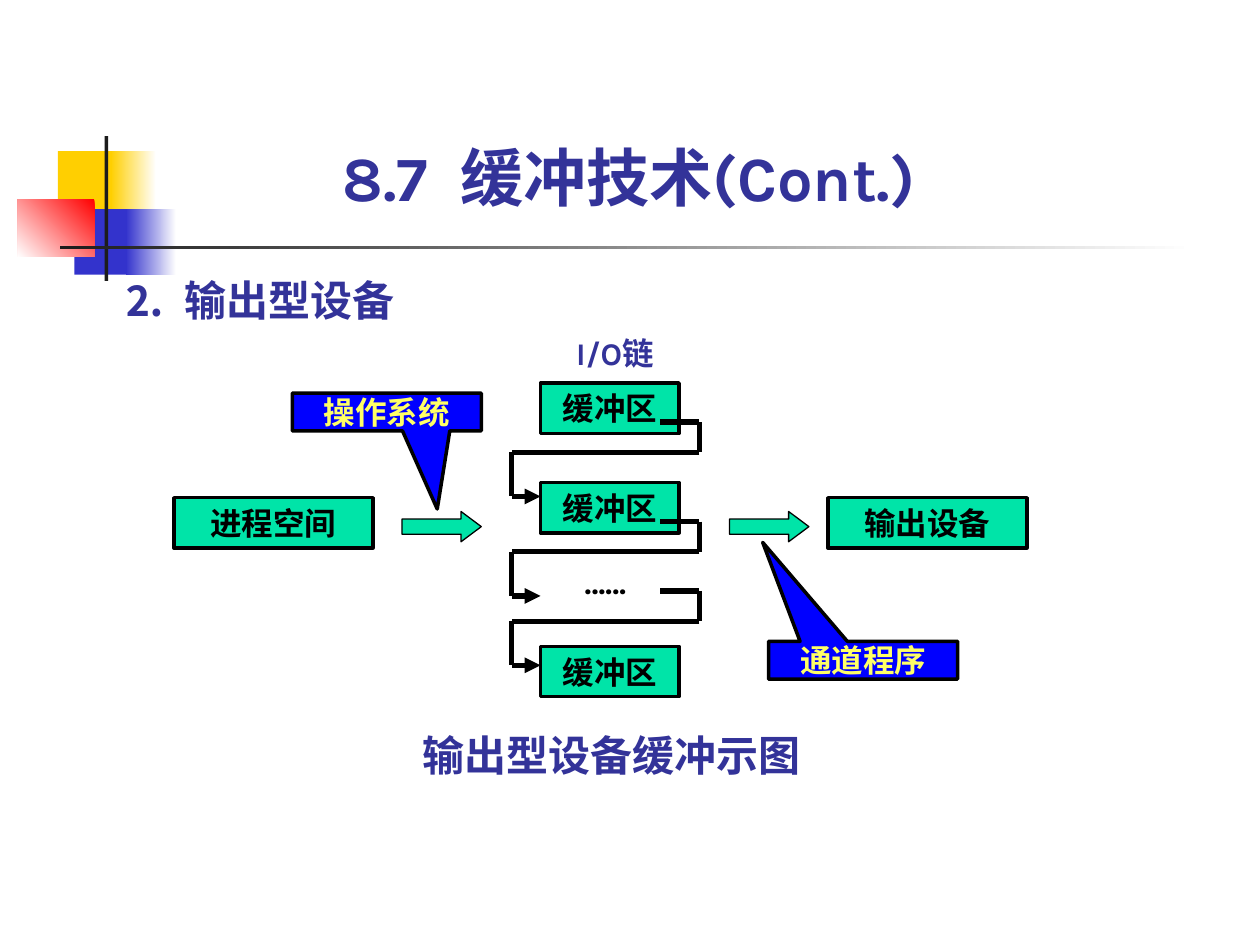
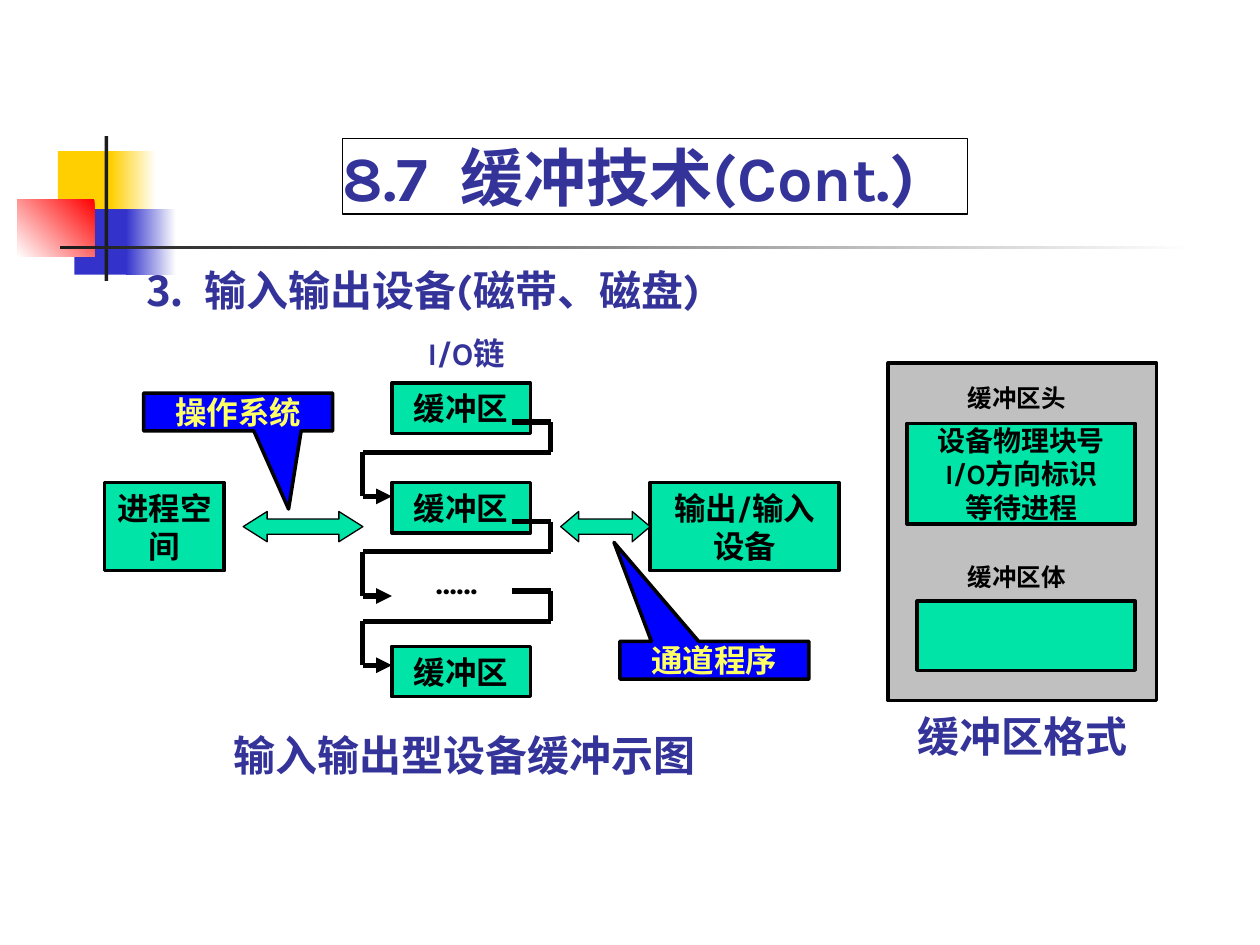
from pptx import Presentation
from pptx.dml.color import RGBColor
from pptx.enum.shapes import MSO_CONNECTOR, MSO_SHAPE as Preset
from pptx.enum.text import MSO_ANCHOR as Anchor, MSO_AUTO_SIZE as AutoSize, PP_ALIGN as Align
from pptx.oxml.ns import qn
from pptx.util import Inches, Pt
from lxml.etree import SubElement

FONT = "Karla"
COLORS = {
    "white": "FFFFFF", "black": "000000", "ink": "1C1C1C", "navy": "333399",
    "green": "00E4A8", "gray": "C0C0C0", "callout": "0000FF", "lemon": "FFFF66",
    "yellow": "FFCF01", "blue": "3333CC", "red": "FF0000",
}


def rgb(name):
    """Return a palette colour."""
    return RGBColor.from_string(COLORS[name])


def write_text(box, text, size, color, align=Align.LEFT, margins=(0, 0), anchor=Anchor.TOP):
    """Put bold wrapped text in a shape."""
    frame = box.text_frame
    frame.text = text
    frame.word_wrap = True
    frame.auto_size = AutoSize.SHAPE_TO_FIT_TEXT
    frame.vertical_anchor = anchor
    frame.margin_left = frame.margin_right = Inches(margins[0])
    frame.margin_top = frame.margin_bottom = Inches(margins[1])
    for para in frame.paragraphs:
        para.alignment = align
        for span in para.runs:
            span.font.name = FONT
            span.font.size = Pt(size)
            span.font.bold = True
            span.font.color.rgb = rgb(color)


def add_label(shapes, place, text, size, color="navy", align=Align.LEFT, anchor=Anchor.TOP):
    """Add a text box and return it."""
    box = shapes.add_textbox(*map(Inches, place))
    write_text(box, text, size, color, align, anchor=anchor)
    return box


def add_block(shapes, place, fill, preset=Preset.RECTANGLE, line=2, adjust=()):
    """Add a filled preset shape with a black outline, or none if line is 0."""
    block = shapes.add_shape(preset, *map(Inches, place))
    block.shadow.inherit = False
    block.fill.solid()
    block.fill.fore_color.rgb = rgb(fill)
    if line:
        block.line.color.rgb = rgb("black")
        block.line.width = Pt(line)
    else:
        block.line.fill.background()
    for index, value in enumerate(adjust):
        block.adjustments[index] = value
    return block


def add_fade(shapes, place, start, end, clockwise):
    """Add a rectangle that fades between two colours."""
    band = add_block(shapes, place, start, line=0)
    band.fill.gradient()
    band.fill.gradient_angle = 360 - clockwise
    for stop, color in zip(band.fill.gradient_stops, (start, end)):
        stop.color.rgb = rgb(color)


def add_node(shapes, place, text):
    """Add a green box with centred text."""
    node = add_block(shapes, place, "green")
    write_text(node, text, 18, "black", Align.CENTER, (0.1, 0.05))


def add_callout(shapes, left, top, text, pointer):
    """Add a blue callout whose pointer is given as adjustments."""
    place = (left, top, 1.5, 0.3)
    callout = add_block(shapes, place, "callout", Preset.RECTANGULAR_CALLOUT, adjust=pointer)
    write_text(callout, text, 18, "lemon", Align.CENTER)


def add_flow_arrow(shapes, left, width, preset, head):
    """Add a green block arrow on the data-flow axis."""
    add_block(shapes, (left, 4.06, width, 0.24), "green", preset, 0.75, (0.5, head))


def add_chain_link(shapes, left, top):
    """Draw the bent arrow that leads from one buffer to the next."""
    link = shapes.add_group_shape().shapes
    right_edge, left_edge = left + 1.26, left - 0.23
    points = [(left + 0.95, top), (right_edge, top), (right_edge, top + 0.24),
              (left_edge, top + 0.24), (left_edge, top + 0.59), (left, top + 0.59)]
    for start, end in zip(points, points[1:]):
        line = link.add_connector(MSO_CONNECTOR.STRAIGHT, *map(Inches, start + end))
        line.line.color.rgb = rgb("black")
        line.line.width = Pt(3)
        properties = line._element.spPr
        if end == points[-1]:
            SubElement(properties.find(qn("a:ln")), qn("a:tailEnd"), type="triangle")
        SubElement(properties, qn("a:effectLst"))


def add_buffer_chain(shapes, left):
    """Draw the chain of buffers with its label and two callouts."""
    for top in (3.04, 3.83, 5.13):
        add_node(shapes, (left, top, 1.1, 0.4), "缓冲区")
    add_label(shapes, (left + 0.16, 4.47, 0.71, 0.3), "……", 18, "black", Align.CENTER)
    for top in (3.35, 4.14, 4.69):
        add_chain_link(shapes, left, top)
    add_label(shapes, (left + 0.08, 2.65, 1.02, 0.3), "I/O链", 18, align=Align.CENTER)
    add_callout(shapes, left + 1.81, 5.09, "通道程序", (-0.531, -3.118))
    add_callout(shapes, left - 1.97, 3.12, "操作系统", (0.267, 2.567))


def add_buffer_format(shapes):
    """Draw the panel that shows the layout of a buffer."""
    panel = shapes.add_group_shape().shapes
    add_block(panel, (7.05, 2.88, 2.13, 2.68), "gray")
    for top, text in ((3.04, "缓冲区头"), (4.46, "缓冲区体")):
        add_label(panel, (7.68, top, 0.79, 0.23), text, 14, "black")
    header = add_block(panel, (7.2, 3.36, 1.81, 0.8), "green")
    write_text(header, "设备物理块号\nI/O方向标识\n等待进程", 16, "black", Align.CENTER)
    add_block(panel, (7.28, 4.77, 1.73, 0.55), "green")
    add_label(panel, (7.13, 5.64, 1.97, 0.4), "缓冲区格式", 24, align=Align.CENTER)


def add_page(deck):
    """Add a page with the shared ornament and title; return shapes and title."""
    shapes = deck.slides.add_slide(deck.slide_layouts[6]).shapes
    add_block(shapes, (0.46, 1.2, 0.48, 0.52), "yellow", line=0)
    add_fade(shapes, (0.88, 1.2, 0.36, 0.52), "white", "yellow", 180)
    add_block(shapes, (0.59, 1.66, 0.46, 0.52), "blue", line=0)
    add_fade(shapes, (1, 1.66, 0.4, 0.52), "white", "blue", 180)
    add_fade(shapes, (0.14, 1.58, 0.61, 0.46), "red", "white", 135)
    add_block(shapes, (0.83, 1.08, 0.03, 1.15), "ink", line=0)
    add_fade(shapes, (0.48, 1.95, 9, 0.03), "white", "ink", 180)
    title = add_label(shapes, (2.72, 1.1, 4.96, 0.6), "8.7  缓冲技术(Cont.)", 36,
                      anchor=Anchor.BOTTOM)
    return shapes, title


def build_output_page(deck):
    """Build the page on output devices."""
    shapes, _ = add_page(deck)
    add_label(shapes, (0.98, 2.18, 2.36, 0.4), "⒉  输出型设备", 24)
    add_node(shapes, (1.38, 3.95, 1.58, 0.4), "进程空间")
    add_node(shapes, (6.57, 3.95, 1.58, 0.4), "输出设备")
    for left in (3.19, 5.79):
        add_flow_arrow(shapes, left, 0.63, Preset.RIGHT_ARROW, 0.668)
    add_buffer_chain(shapes, 4.29)
    add_label(shapes, (3.35, 5.79, 3.38, 0.4), "输出型设备缓冲示图", 24)


def build_two_way_page(deck):
    """Build the page on input and output devices."""
    shapes, title = add_page(deck)
    title.line.color.rgb = rgb("black")
    title.line.width = Pt(0.75)
    add_label(shapes, (1.14, 2.1, 4.65, 0.4), "⒊  输入输出设备(磁带、磁盘)", 24)
    add_node(shapes, (0.83, 3.83, 0.95, 0.7), "进程空间")
    add_node(shapes, (5.16, 3.83, 1.5, 0.7), "输出/输入设备")
    add_buffer_chain(shapes, 3.11)
    add_label(shapes, (1.85, 5.79, 3.94, 0.4), "输入输出型设备缓冲示图", 24)
    add_flow_arrow(shapes, 1.93, 0.95, Preset.LEFT_RIGHT_ARROW, 0.792)
    add_flow_arrow(shapes, 4.45, 0.71, Preset.LEFT_RIGHT_ARROW, 0.593)
    add_buffer_format(shapes)


def main():
    """Build and save the deck."""
    deck = Presentation()
    deck.slide_width, deck.slide_height = Inches(10), Inches(7.5)
    build_output_page(deck)
    build_two_way_page(deck)
    deck.save("out.pptx")


if __name__ == "__main__":
    main()
